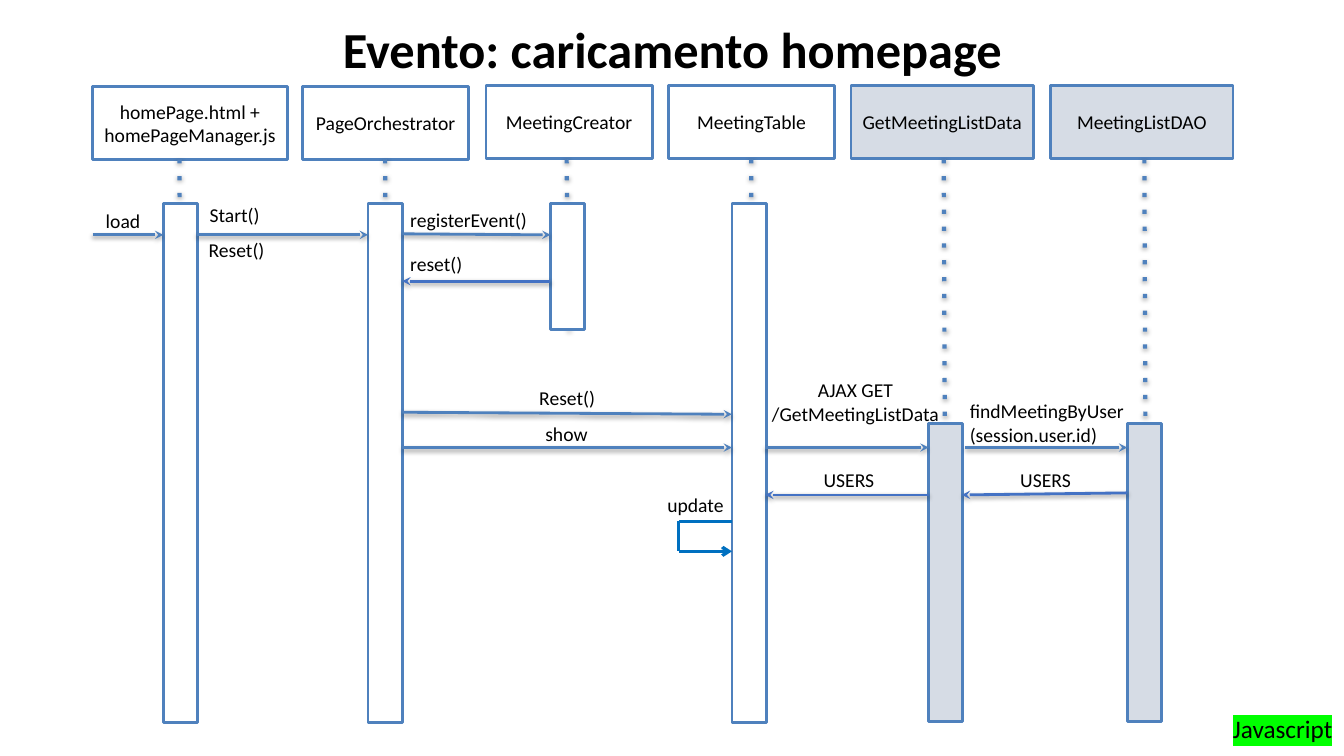
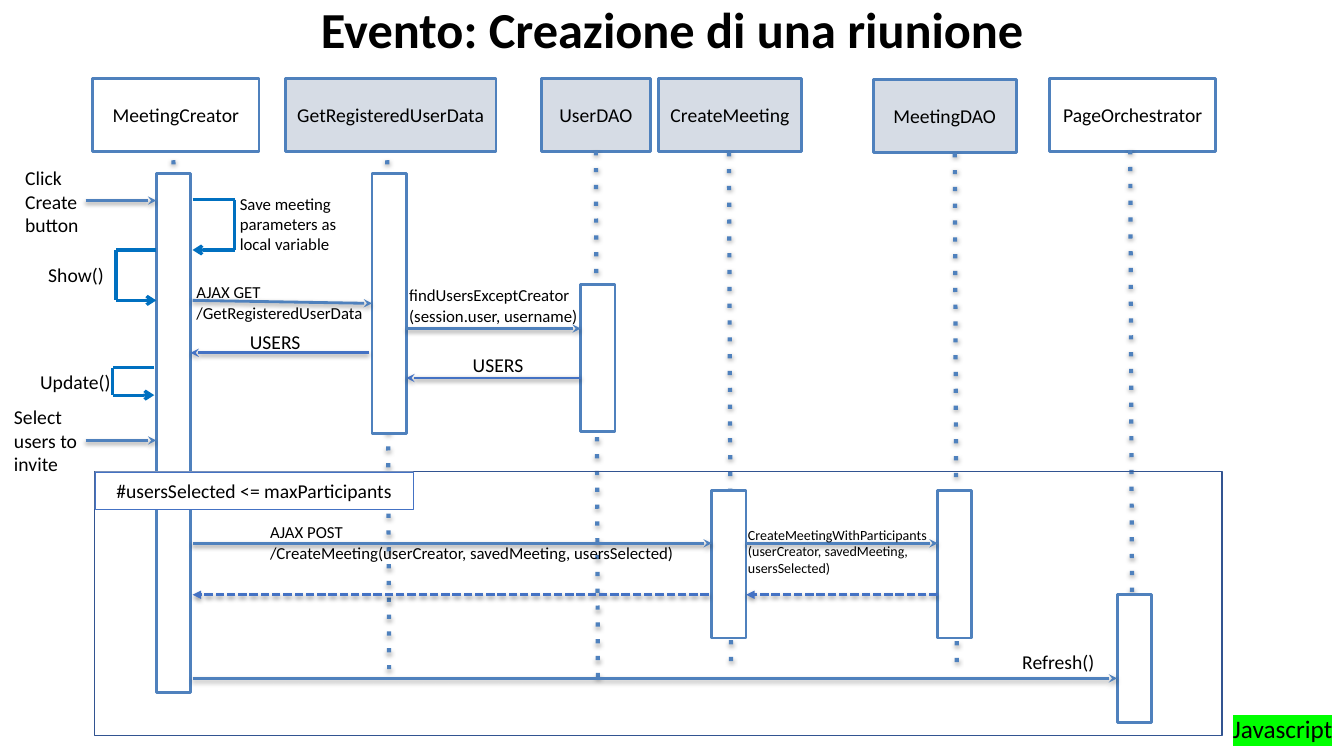
"""Build two sequence diagrams for a meeting web application."""
from dataclasses import dataclass
from itertools import pairwise

from lxml import etree
from pptx import Presentation
from pptx.dml.color import RGBColor
from pptx.enum.shapes import MSO_CONNECTOR, MSO_SHAPE
from pptx.enum.text import MSO_ANCHOR, MSO_AUTO_SIZE, PP_ALIGN
from pptx.oxml.ns import qn
from pptx.util import Inches, Pt

RECT = MSO_SHAPE.RECTANGLE
LINE = MSO_CONNECTOR.STRAIGHT
CENTER, LEFT = PP_ALIGN.CENTER, PP_ALIGN.LEFT
MIDDLE = MSO_ANCHOR.MIDDLE
FIXED = MSO_AUTO_SIZE.NONE


@dataclass(frozen=True)
class Theme:
    """Hold the colours, type sizes and measures that the slides share."""
    font: str = "Calibri"
    ink: str = "000000"
    white: str = "FFFFFF"
    gray: str = "D6DCE5"
    blue: str = "4F81BD"
    reply: str = "4472C4"
    loop: str = "0070C0"
    frame: str = "325491"
    mark: str = "00FF00"
    title: int = 36
    tag: int = 18
    text: int = 14
    small: int = 12
    tiny: int = 10
    bar: float = 0.34
    head: float = 0.72


THEME = Theme()


def rgb(code):
    """Turn a hex code into a colour."""
    return RGBColor.from_string(code)


def write(frame, text, size, align, bold=False):
    """Fill a text frame and style each paragraph."""
    frame.text = text
    for para in frame.paragraphs:
        para.alignment = align
        para.font.name = THEME.font
        para.font.size = Pt(size)
        para.font.bold = bold
        para.font.color.rgb = rgb(THEME.ink)


def box(slide, area, fill, edge=THEME.blue, width=2, text=""):
    """Draw a bordered rectangle with centred text."""
    shape = slide.shapes.add_shape(RECT, *map(Inches, area))
    shape.shadow.inherit = False
    if fill:
        shape.fill.solid()
        shape.fill.fore_color.rgb = rgb(fill)
    else:
        shape.fill.background()
    shape.line.color.rgb = rgb(edge)
    shape.line.width = Pt(width)
    if text:
        shape.text_frame.vertical_anchor = MIDDLE
        write(shape.text_frame, text, THEME.text, CENTER)


def line(shapes, ends, color, width, dash=None, tip=None):
    """Draw a straight line with an optional dash and arrowhead."""
    link = shapes.add_connector(LINE, *map(Inches, ends))
    link.line.color.rgb = rgb(color)
    link.line.width = Pt(width)
    ln = link.element.spPr.find(qn("a:ln"))
    if dash:
        etree.SubElement(ln, qn("a:prstDash"), val=dash)
    if tip:
        etree.SubElement(ln, qn("a:tailEnd"), type=tip)
    return link


def life(slide, x, top, drop=5.07):
    """Draw a dotted lifeline."""
    line(slide.shapes, (x, top, x + 0.02, top + drop), THEME.blue, 3, "dot")


def bar(slide, left, top, height, fill=THEME.white):
    """Draw an activation bar."""
    box(slide, (left, top, THEME.bar, height), fill)


def call(slide, x, y, end, fall=0):
    """Draw a message arrow, coloured as a reply when it points left."""
    color = THEME.reply if end < x else THEME.blue
    line(slide.shapes, (x, y, end, y + fall), color, 2, tip="stealth")


def answer(slide, x, y, end):
    """Draw a dashed return arrow."""
    line(slide.shapes, (x, y, end, y), THEME.reply, 2, "sysDash", "triangle")


def loop(slide, edge, top, side, height):
    """Draw a three-part arrow that returns to its own bar."""
    group = slide.shapes.add_group_shape()
    low = top + height
    points = [(edge, top), (side, top), (side, low), (edge, low)]
    for step, (start, end) in enumerate(pairwise(points)):
        tip = "arrow" if step == 2 else None
        part = line(group.shapes, start + end, THEME.loop, 2.25, tip=tip)
        etree.SubElement(part.element.spPr, qn("a:effectLst"))


def note(slide, left, top, width, text, size=THEME.text, align=LEFT):
    """Place a label."""
    height = 0.1 + 0.24 * (text.count("\n") + 1)
    area = map(Inches, (left, top, width, height))
    frame = slide.shapes.add_textbox(*area).text_frame
    frame.word_wrap = True
    write(frame, text, size, align)


def tag(slide):
    """Place the highlighted language tag in the corner."""
    area = map(Inches, (12.13, 7.03, 1.2, 0.4))
    frame = slide.shapes.add_textbox(*area).text_frame
    frame.word_wrap = False
    write(frame, "Javascript", THEME.tag, LEFT)
    props = frame.paragraphs[0].runs[0].font._element
    glow = etree.SubElement(props, qn("a:highlight"))
    etree.SubElement(glow, qn("a:srgbClr"), val=THEME.mark)


def start(deck, text, top, height):
    """Add a slide with its title and tag."""
    slide = deck.slides.add_slide(deck.slide_layouts[5])
    title = slide.shapes.title
    title.left, title.top = Inches(0.92), Inches(top)
    title.width, title.height = Inches(11.5), Inches(height)
    frame = title.text_frame
    frame.auto_size = FIXED
    frame.vertical_anchor = MIDDLE
    write(frame, text, THEME.title, CENTER, True)
    frame.paragraphs[0].line_spacing = 0.9
    tag(slide)
    return slide


def heads(slide, items):
    """Draw the row of participant boxes."""
    for left, top, width, fill, text in items:
        box(slide, (left, top, width, THEME.head), fill, text=text)


def home(deck):
    """Build the page loading diagram."""
    white, gray = THEME.white, THEME.gray
    slide = start(deck, "Evento: caricamento homepage", 0.03, 0.97)
    heads(slide, [
        (0.92, 0.86, 1.93, white, "homePage.html +\nhomePageManager.js"),
        (3, 0.86, 1.65, white, "PageOrchestrator"),
        (4.82, 0.85, 1.65, white, "MeetingCreator"),
        (6.63, 0.85, 1.65, white, "MeetingTable"),
        (8.44, 0.85, 1.81, gray, "GetMeetingListData"),
        (10.42, 0.85, 1.81, gray, "MeetingListDAO"),
    ])
    for x in (1.78, 3.82, 7.45, 9.36, 11.35):
        life(slide, x, 1.58)
    life(slide, 5.62, 1.58, 1.69)
    for left, height in ((1.62, 5.15), (3.65, 5.15), (5.46, 1.25), (7.26, 5.15)):
        bar(slide, left, 2.02, height)
    for left in (9.21, 11.18):
        bar(slide, left, 4.2, 2.96, gray)
    for ends in [
        (0.92, 2.33, 1.62), (1.95, 2.33, 3.65), (3.99, 2.32, 5.46, 0.01),
        (5.46, 2.79, 3.99), (3.99, 4.09, 7.26, 0.02), (3.99, 4.44, 7.26),
        (7.59, 4.44, 9.21), (9.57, 4.44, 11.18), (9.21, 4.91, 7.59),
        (11.18, 4.89, 9.54, 0.02),
    ]:
        call(slide, *ends)
    loop(slide, 7.26, 5.17, 6.73, 0.3)
    for label in [
        (0.95, 2.02, 0.59, "load"), (1.98, 1.96, 0.77, "Start()"),
        (1.97, 2.31, 0.76, "Reset()"), (3.97, 2.01, 1.39, "registerEvent()"),
        (3.97, 2.45, 0.76, "reset()"), (5.25, 3.78, 0.8, "Reset()"),
        (5.31, 4.14, 0.65, "show"), (6.52, 4.84, 0.8, "update"),
        (8.07, 4.59, 0.75, "USERS"), (10.02, 4.59, 0.71, "USERS"),
        (9.52, 3.91, 1.76, "findMeetingByUser(session.user.id)"),
    ]:
        note(slide, *label)
    note(slide, 7.51, 3.7, 1.95, "AJAX GET\n/GetMeetingListData", align=CENTER)


def create(deck):
    """Build the meeting creation diagram."""
    white, gray = THEME.white, THEME.gray
    small, tiny = THEME.small, THEME.tiny
    slide = start(deck, "Evento: Creazione di una riunione", -0.15, 0.93)
    heads(slide, [
        (0.92, 0.78, 1.65, white, "MeetingCreator"),
        (2.83, 0.78, 2.09, gray, "GetRegisteredUserData"),
        (5.37, 0.78, 1.08, gray, "UserDAO"),
        (6.53, 0.78, 1.42, gray, "CreateMeeting"),
        (8.66, 0.79, 1.42, gray, "MeetingDAO"),
        (10.41, 0.78, 1.65, white, "PageOrchestrator"),
    ])
    for track in [
        (1.72, 1.59), (3.84, 1.59, 5.15), (5.91, 1.5, 5.22),
        (7.23, 1.51), (9.47, 1.52), (11.21, 1.49),
    ]:
        life(slide, *track)
    for place in [
        (1.55, 1.72, 5.15), (3.69, 1.72, 2.58), (5.76, 2.82, 1.46),
        (7.06, 4.87, 1.46), (9.3, 4.87, 1.46), (11.08, 5.9, 1.27),
    ]:
        bar(slide, *place)
    box(slide, (0.94, 4.68, 11.18, 2.62), None, THEME.frame, 1)
    box(slide, (0.94, 4.68, 3.16, 0.37), white, THEME.reply, 0.25,
        "#usersSelected <= maxParticipants")
    for ends in [
        (0.85, 1.99, 1.55), (1.91, 2.98, 3.69, 0.03), (3.66, 3.5, 1.89),
        (4.03, 3.26, 5.76), (5.76, 3.75, 4.03), (0.85, 4.37, 1.55),
        (1.91, 5.39, 7.06), (7.4, 5.39, 9.3), (1.91, 6.73, 11.08),
    ]:
        call(slide, *ends)
    answer(slide, 9.3, 5.9, 7.4)
    answer(slide, 7.03, 5.9, 1.91)
    loop(slide, 1.55, 2.48, 1.15, 0.5)
    loop(slide, 1.91, 1.98, 2.33, 0.5)
    loop(slide, 1.53, 3.65, 1.12, 0.27)
    for label in [
        (0.15, 1.6, 0.79, "Click\nCreate\nbutton"),
        (0.38, 2.56, 0.79, "Show()"),
        (2.28, 1.87, 1.38, "Save meeting parameters as local variable", small),
        (1.85, 2.75, 2.15, "AJAX GET\n/GetRegisteredUserData", small),
        (2.38, 3.22, 0.79, "USERS"),
        (0.3, 3.62, 0.9, "Update()"),
        (3.96, 2.78, 2.11,
         "findUsersExceptCreator\n(session.user, username)", small),
        (4.59, 3.45, 0.79, "USERS"),
        (0.04, 3.97, 0.88, "Select users to invite"),
        (2.58, 5.13, 4.27, "AJAX POST\n/CreateMeeting(userCreator, "
         "savedMeeting, usersSelected)", small),
        (7.32, 5.17, 2.42, "CreateMeetingWithParticipants\n"
         "(userCreator, savedMeeting, usersSelected)", tiny),
        (10.04, 6.4, 0.94, "Refresh()"),
    ]:
        note(slide, *label)


def main():
    """Build and save the deck."""
    deck = Presentation()
    deck.slide_width, deck.slide_height = Inches(13.33), Inches(7.5)
    home(deck)
    create(deck)
    deck.save("out.pptx")


main()
